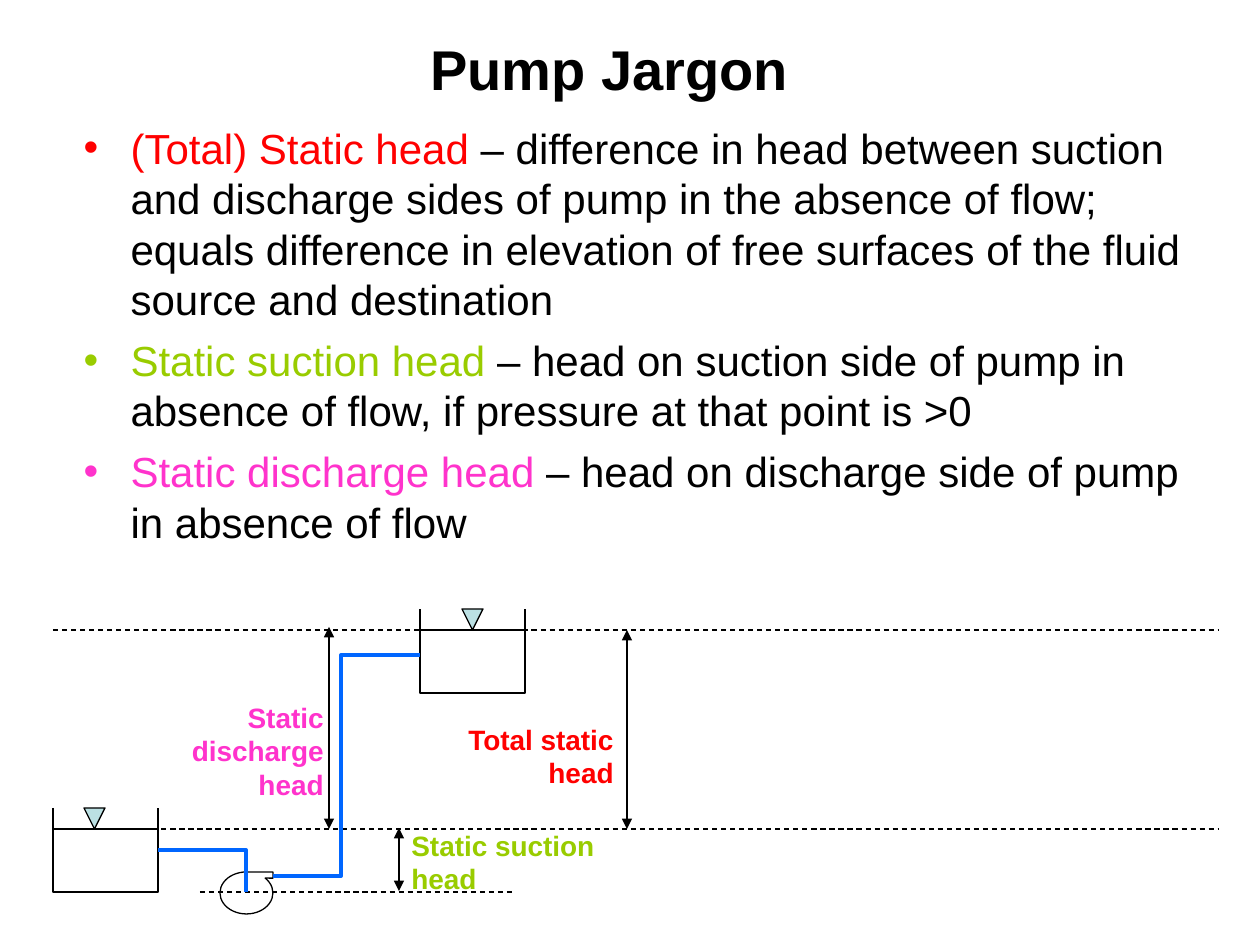
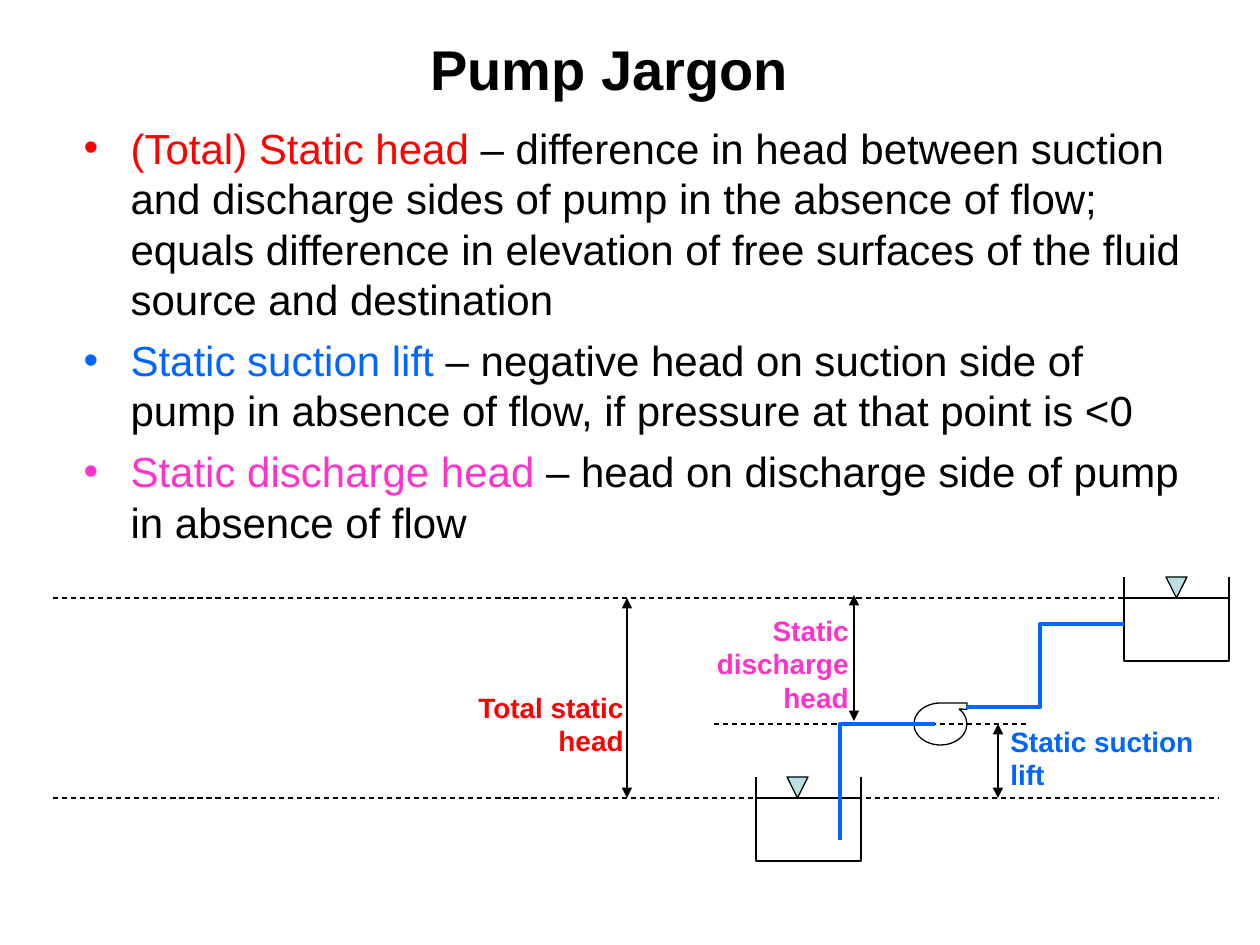
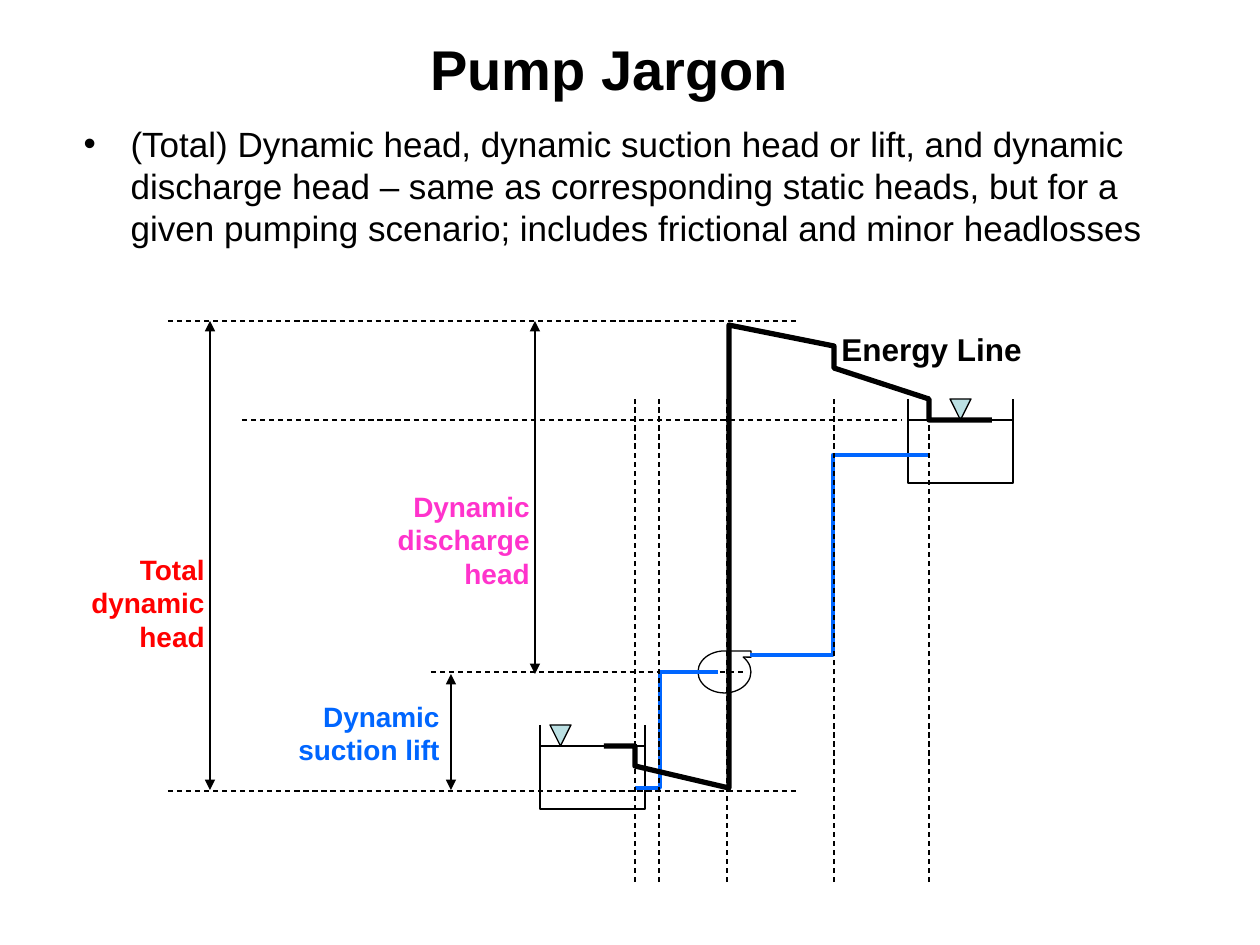
from pptx import Presentation
from pptx.dml.color import RGBColor
from pptx.enum.dml import MSO_LINE
from pptx.enum.shapes import MSO_CONNECTOR, MSO_SHAPE
from pptx.enum.text import MSO_ANCHOR, MSO_AUTO_SIZE, PP_ALIGN
from pptx.oxml.ns import qn
from pptx.util import Emu, Pt
from lxml.etree import SubElement

PX = 914400 / 126
FONT = "Arial"
BLACK = RGBColor(0, 0, 0)
RED = RGBColor(0xFF, 0, 0)
GREEN = RGBColor(0x99, 0xCC, 0)
PINK = RGBColor(0xFF, 0x33, 0xCC)
BLUE = RGBColor(0, 0x66, 0xFF)
WATER = RGBColor(0xBB, 0xE0, 0xE3)
LEFT, RIGHT = PP_ALIGN.LEFT, PP_ALIGN.RIGHT

TITLE = "Pump Jargon"
TITLE_MIDDLE = 68
HANGING = 47
TANK_WIDTH, TANK_DEPTH, RIM, MARKER = 105, 63, 21, 21
PUMP_WIDTH, PUMP_HEIGHT = 53, 42

STATIC_HEAD = (RED, "(Total) Static head",
               " – difference in head between suction and discharge sides of pump in the "
               "absence of flow; equals difference in elevation of free surfaces of the "
               "fluid source and destination")
DISCHARGE_HEAD = (PINK, "Static discharge head ",
                  "– head on discharge side of pump in absence of flow")

SLIDES = [
    dict(
        title_height=95, body_height=441, body_size=24, body_gap=6,
        definitions=[
            STATIC_HEAD,
            (GREEN, "Static suction head",
             " – head on suction side of pump in absence of flow, "
             "if pressure at that point is >0"),
            DISCHARGE_HEAD,
        ],
        levels=[(53, 1218, 829), (53, 1218, 630), (200, 514, 892)],
        tanks=[(53, 829, 31), (420, 630, 42)],
        pump=(220, 872),
        pipes=[[(273, 876), (341, 876), (341, 655), (420, 655)],
               [(158, 850), (246, 850), (246, 892)]],
        heads=[(627, 630, 829), (399, 828, 891), (329, 627, 829)],
        labels=[("Total static head", 451, 716, 175, 81, 16, RED, RIGHT),
                ("Static suction head", 399, 822, 220, 81, 16, GREEN, LEFT),
                ("Static discharge head", 168, 694, 168, 113, 16, PINK, RIGHT)],
    ),
    dict(
        title_height=73, body_height=441, body_size=24, body_gap=6,
        definitions=[
            STATIC_HEAD,
            (BLUE, "Static suction lift",
             " – negative head on suction side of pump in absence of flow, "
             "if pressure at that point is <0"),
            DISCHARGE_HEAD,
        ],
        levels=[(53, 1218, 798), (53, 1218, 598), (714, 1029, 724)],
        tanks=[(756, 798, 31), (1124, 598, 42)],
        pump=(914, 703),
        pipes=[[(935, 724), (840, 724), (840, 840)],
               [(966, 707), (1040, 707), (1040, 624), (1124, 624)]],
        heads=[(627, 598, 798), (998, 724, 798), (854, 595, 721)],
        labels=[("Total static head", 451, 684, 185, 81, 16, RED, RIGHT),
                ("Static suction lift", 998, 718, 220, 81, 16, BLUE, LEFT),
                ("Static discharge head", 693, 607, 168, 113, 16, PINK, RIGHT)],
    ),
    dict(
        title_height=73, body_height=179, body_size=20, body_gap=5,
        definitions=[
            (BLACK, "(Total) Dynamic head, dynamic suction head or lift, and dynamic "
                    "discharge head – same as corresponding static heads, but for a given "
                    "pumping scenario; includes frictional and minor headlosses", ""),
        ],
        levels=[(242, 902, 420), (431, 746, 672), (168, 798, 321), (168, 798, 791)],
        tanks=[(540, 746, 10), (908, 420, 42)],
        pump=(698, 651),
        pipes=[[(750, 655), (833, 655), (833, 455), (929, 455)],
               [(718, 672), (660, 672), (660, 788), (635, 788)]],
        stations=[635, 659, 727, 834, 929],
        energy_line=[(604, 746), (635, 746), (635, 766), (729, 788), (729, 325),
                     (834, 346), (834, 368), (929, 399), (929, 420), (992, 420)],
        heads=[(451, 674, 790), (535, 321, 674), (210, 321, 790)],
        labels=[("Total dynamic head", 32, 546, 185, 113, 16, RED, RIGHT),
                ("Dynamic suction lift", 273, 693, 179, 81, 16, BLUE, RIGHT),
                ("Dynamic discharge head", 374, 483, 168, 113, 16, PINK, RIGHT),
                ("Energy Line", 829, 324, 220, 51, 18, BLACK, LEFT)],
    ),
]


def px(*lengths):
    return [Emu(round(length * PX)) for length in lengths]


def style_run(run, size, color, bold=False):
    font = run.font
    font.name, font.size, font.bold = FONT, Pt(size), bold
    font.color.rgb = color


def place(holder, *box):
    holder.left, holder.top, holder.width, holder.height = px(*box)
    frame = holder.text_frame
    frame.word_wrap = True
    frame.auto_size = MSO_AUTO_SIZE.NONE
    return frame


def add_title(slide, height):
    frame = place(slide.shapes.title, 221, TITLE_MIDDLE - height / 2, 777, height)
    frame.vertical_anchor = MSO_ANCHOR.MIDDLE
    frame.text = TITLE
    frame.paragraphs[0].alignment = PP_ALIGN.CENTER
    style_run(frame.paragraphs[0].runs[0], 32, BLACK, True)


def add_bullet(paragraph, color):
    props = paragraph._p.get_or_add_pPr()
    indent, = px(HANGING)
    props.set("marL", str(indent))
    props.set("indent", str(-indent))
    SubElement(SubElement(props, qn("a:buClr")), qn("a:srgbClr")).set("val", str(color))
    SubElement(props, qn("a:buFont")).set("typeface", FONT)
    SubElement(props, qn("a:buChar")).set("char", "•")


def add_definitions(slide, definitions, height, size, gap):
    frame = place(slide.placeholders[1], 71, 116, 1134, height)
    for index, (color, term, meaning) in enumerate(definitions):
        paragraph = frame.add_paragraph() if index else frame.paragraphs[0]
        add_bullet(paragraph, color)
        paragraph.space_before = Pt(gap if index else 0)
        paragraph.text = term
        style_run(paragraph.runs[0], size, color)
        if meaning:
            rest = paragraph.add_run()
            rest.text = meaning
            style_run(rest, size, BLACK)


def outline(shape, color=BLACK, width=0.75, fill=None):
    shape.shadow.inherit = False
    shape.line.color.rgb = color
    shape.line.width = Pt(width)
    if fill is None:
        shape.fill.background()
    else:
        shape.fill.solid()
        shape.fill.fore_color.rgb = fill


def add_path(slide, points, color=BLACK, width=0.75):
    builder = slide.shapes.build_freeform(*points[0], scale=PX)
    builder.add_line_segments(points[1:], close=False)
    outline(builder.convert_to_shape(), color, width)


def add_flipped(slide, preset, *box, fill=None):
    shape = slide.shapes.add_shape(preset, *px(*box))
    outline(shape, fill=fill)
    shape._element.spPr.find(qn("a:xfrm")).set("flipV", "1")


def add_line(slide, *ends, dashed=False, arrows=False):
    line = slide.shapes.add_connector(MSO_CONNECTOR.STRAIGHT, *px(*ends))
    line.line.color.rgb = BLACK
    line.line.width = Pt(0.75)
    if dashed:
        line.line.dash_style = MSO_LINE.DASH
    if arrows:
        for end in ("a:headEnd", "a:tailEnd"):
            SubElement(line.line._get_or_add_ln(), qn(end)).set("type", "triangle")
    SubElement(line._element.spPr, qn("a:effectLst"))


def add_tank(slide, left, surface, marker_offset):
    right, rim, floor = left + TANK_WIDTH, surface - RIM, surface + TANK_DEPTH
    add_path(slide, [(left, rim), (left, floor), (right, floor), (right, rim)])
    add_line(slide, left, surface, right, surface)
    add_flipped(slide, MSO_SHAPE.ISOSCELES_TRIANGLE, left + marker_offset,
                surface - MARKER, MARKER, MARKER, fill=WATER)


def add_label(slide, text, left, top, width, height, size, color, align):
    frame = slide.shapes.add_textbox(*px(left, top, width, height)).text_frame
    frame.word_wrap = True
    frame.text = text
    frame.paragraphs[0].alignment = align
    style_run(frame.paragraphs[0].runs[0], size, color, True)


def add_diagram(slide, content):
    for start, end, y in content["levels"]:
        add_line(slide, start, y, end, y, dashed=True)
    for tank in content["tanks"]:
        add_tank(slide, *tank)
    add_flipped(slide, MSO_SHAPE.FLOWCHART_SEQUENTIAL_ACCESS_STORAGE,
                *content["pump"], PUMP_WIDTH, PUMP_HEIGHT)
    for pipe in content["pipes"]:
        add_path(slide, pipe, BLUE, 2.25)
    for x in content.get("stations", []):
        add_line(slide, x, 882, x, 399, dashed=True)
    if "energy_line" in content:
        add_path(slide, content["energy_line"], BLACK, 3)
    for x, top, bottom in content["heads"]:
        add_line(slide, x, top, x, bottom, arrows=True)
    for label in content["labels"]:
        add_label(slide, *label)


def main():
    deck = Presentation()
    deck.slide_width, deck.slide_height = px(1260, 945)
    for content in SLIDES:
        slide = deck.slides.add_slide(deck.slide_layouts[1])
        add_title(slide, content["title_height"])
        add_definitions(slide, content["definitions"], content["body_height"],
                        content["body_size"], content["body_gap"])
        add_diagram(slide, content)
    deck.save("out.pptx")


if __name__ == "__main__":
    main()
